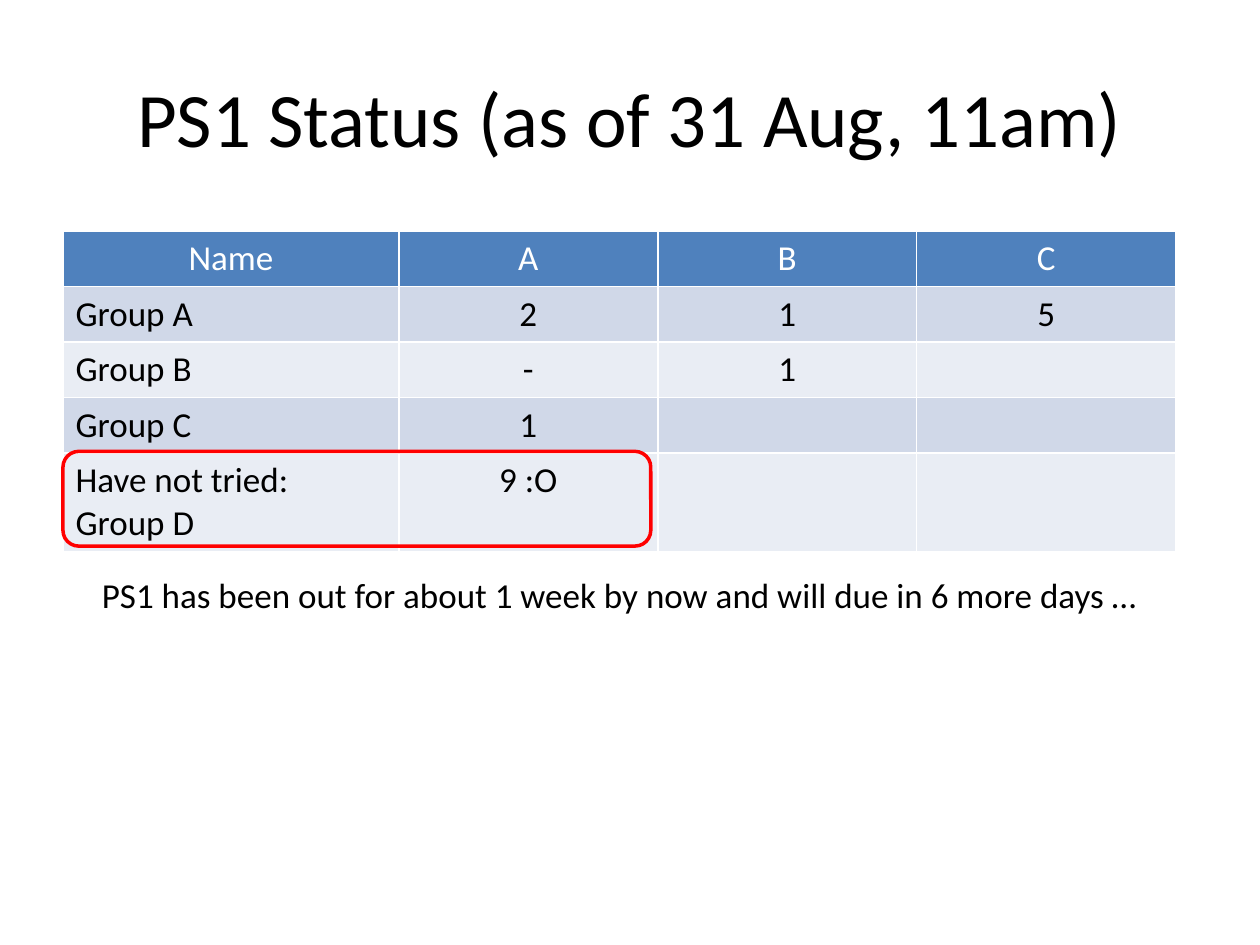
from lxml.etree import SubElement
from pptx import Presentation
from pptx.dml.color import RGBColor as RGB
from pptx.enum.shapes import MSO_SHAPE as Shape
from pptx.enum.text import MSO_ANCHOR as Anchor, MSO_AUTO_SIZE as AutoSize, PP_ALIGN as Align
from pptx.oxml.ns import qn
from pptx.util import Cm, Pt

COLORS = {
    "text": "000000",
    "white": "FFFFFF",
    "header": "4F81BD",
    "band_dark": "D0D8E8",
    "band_light": "E9EDF4",
    "highlight": "FF0000",
}

STATUS = [
    ["Name", "A", "B", "C"],
    ["Group A", "2", "1", "5"],
    ["Group B", "-", "1", ""],
    ["Group C", "1", "", ""],
    ["Have not tried:\nGroup D", "9 :O", "", ""],
]


def color(name):
    return RGB.from_string(COLORS[name])


def write(tf, text, size=20, fill="text", align=Align.CENTER, font="Calibri"):
    p = tf.paragraphs[0]
    p.text = text
    p.alignment = align
    for r in p.runs:
        r.font.name = font
        r.font.size = Pt(size)
        r.font.bold = False
        r.font.color.rgb = color(fill)


def add_borders(cell, name, width):
    tc_pr = cell._tc.get_or_add_tcPr()
    for side in ("a:lnL", "a:lnR", "a:lnT", "a:lnB"):
        line = SubElement(tc_pr, qn(side), w=str(Pt(width)))
        fill = SubElement(line, qn("a:solidFill"))
        SubElement(fill, qn("a:srgbClr"), val=COLORS[name])


class SlideBuilder:
    def __init__(self, slide, font="Calibri"):
        self.slide = slide
        self.font = font

    def title(self, text, left, top, width, height):
        sp = self.slide.shapes.title
        sp.left, sp.top, sp.width, sp.height = Cm(left), Cm(top), Cm(width), Cm(height)
        sp.text_frame.vertical_anchor = Anchor.MIDDLE
        write(sp.text_frame, text, size=44, font=self.font)

    def table(self, rows, left, top, widths, row_height):
        frame = self.slide.shapes.add_table(
            len(rows), len(widths), Cm(left), Cm(top),
            Cm(sum(widths)), Cm(row_height * len(rows)))
        table = frame.table
        for column, width in zip(table.columns, widths):
            column.width = Cm(width)
        for i, row in enumerate(rows):
            band = "header" if i == 0 else "band_dark" if i % 2 else "band_light"
            for j, text in enumerate(row):
                cell = table.cell(i, j)
                add_borders(cell, "white", 1)
                cell.fill.solid()
                cell.fill.fore_color.rgb = color(band)
                write(cell.text_frame, text, font=self.font,
                      fill="white" if i == 0 else "text",
                      align=Align.LEFT if i and j == 0 else Align.CENTER)

    def note(self, text, left, top, width, height):
        sp = self.slide.shapes.add_textbox(Cm(left), Cm(top), Cm(width), Cm(height))
        tf = sp.text_frame
        tf.word_wrap = True
        tf.auto_size = AutoSize.SHAPE_TO_FIT_TEXT
        write(tf, text, font=self.font)

    def highlight(self, left, top, width, height):
        sp = self.slide.shapes.add_shape(
            Shape.ROUNDED_RECTANGLE, Cm(left), Cm(top), Cm(width), Cm(height))
        sp.shadow.inherit = False
        sp.fill.background()
        sp.line.color.rgb = color("highlight")
        sp.line.width = Pt(2)


def main():
    prs = Presentation()
    prs.slide_width, prs.slide_height = Cm(25.4), Cm(19.05)
    builder = SlideBuilder(prs.slides.add_slide(prs.slide_layouts[5]))
    builder.title("PS1 Status (as of 31 Aug, 11am)", 1.27, 0.76, 22.86, 3.18)
    builder.table(STATUS, 1.27, 4.66, [6.77] + [5.22] * 3, 1.03)
    builder.note("PS1 has been out for about 1 week by now and will due in 6 more days …",
                 1.06, 11.43, 22.86, 1.11)
    builder.highlight(1.27, 9.1, 11.85, 1.91)
    prs.save("out.pptx")


if __name__ == "__main__":
    main()
